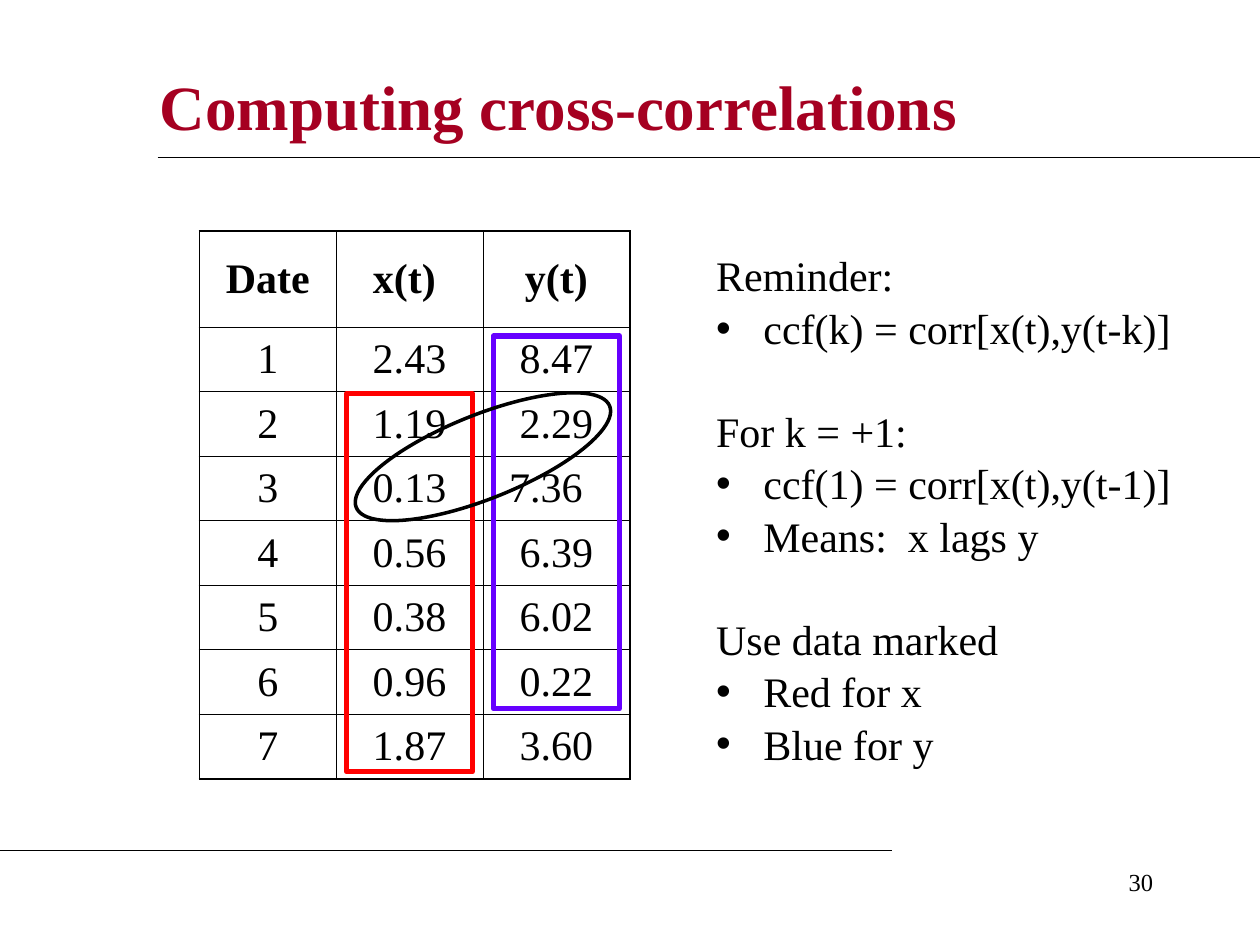
import pptx
import pptx.util
import pptx.dml.color
import pptx.enum.shapes
import pptx.enum.text
import pptx.oxml.ns
from lxml import etree

RGB = pptx.dml.color.RGBColor
Pt = pptx.util.Pt
SHAPE = pptx.enum.shapes.MSO_SHAPE
ALIGN = pptx.enum.text.PP_ALIGN
ANCHOR = pptx.enum.text.MSO_ANCHOR
qn = pptx.oxml.ns.qn

BLACK = RGB(0, 0, 0)
MAROON = RGB(0xA5, 0x00, 0x21)
RED = RGB(0xFF, 0, 0)
BLUE = RGB(0x66, 0, 0xFF)
FONT = "Times New Roman"

# The slide is a grid of 120 columns by 90 rows.
COLS, ROWS = 120, 90
UNIT = pptx.util.Inches(10) // COLS

HEAD = ("Date", "x(t)", "y(t)")
X = ("2.43", "1.19", "0.13", "0.56", "0.38", "0.96", "1.87")
Y = ("8.47", "2.29", "7.36", "6.39", "6.02", "0.22", "3.60")
# Extra right margin, in points, for cells set left of centre.
NUDGE = {"x(t)": 6, "7.36": 12}

NOTES = (
    ("Reminder:", ["ccf(k) = corr[x(t),y(t-k)]"]),
    ("For k = +1:", ["ccf(1) = corr[x(t),y(t-1)]", "Means:  x lags y"]),
    ("Use data marked", ["Red for x", "Blue for y"]),
)


def grid(*units):
    return [round(u * UNIT) for u in units]


def place(shape, box):
    shape.left, shape.top, shape.width, shape.height = grid(*box)


def write(para, text, size=24, color=BLACK, bold=False, align=ALIGN.LEFT, before=0):
    para.alignment = align
    para.space_before = Pt(before)
    run = para.add_run()
    run.text = text
    font = run.font
    font.name, font.size, font.bold = FONT, Pt(size), bold
    font.color.rgb = color


def set_bullet(para, mark):
    """Hang the paragraph, with a bullet if mark is given."""
    props = para._p.get_or_add_pPr()
    hang = Pt(27)
    props.set("marL", str(hang))
    props.set("indent", str(-hang))
    if mark:
        etree.SubElement(props, qn("a:buChar")).set("char", mark)
    else:
        etree.SubElement(props, qn("a:buNone"))


def add_title(slide, box):
    title = slide.shapes.title
    place(title, box)
    frame = title.text_frame
    frame.vertical_anchor = ANCHOR.MIDDLE
    write(frame.paragraphs[0], "Computing cross-correlations",
          size=36, color=MAROON, bold=True)


def add_notes(slide, box):
    body = slide.placeholders[1]
    place(body, box)
    frame = body.text_frame
    frame.auto_size = pptx.enum.text.MSO_AUTO_SIZE.NONE
    para = frame.paragraphs[0]
    for i, (head, items) in enumerate(NOTES):
        if i:
            para = frame.add_paragraph()
        set_bullet(para, None)
        write(para, head, before=30 if i else 0)
        for item in items:
            para = frame.add_paragraph()
            set_bullet(para, "•")
            write(para, item, before=1.2)


def add_rule(slide, left, right, row):
    line = slide.shapes.add_connector(
        pptx.enum.shapes.MSO_CONNECTOR.STRAIGHT, *grid(left, row, right, row))
    line.line.color.rgb = BLACK
    line.line.width = Pt(0.75)
    etree.SubElement(line._element.spPr, qn("a:effectLst"))


def set_edges(cell, outer):
    """Draw the four borders, thicker where outer is true."""
    props = cell._tc.get_or_add_tcPr()
    for i, (side, thick) in enumerate(zip("LRTB", outer)):
        edge = etree.Element(qn("a:ln" + side))
        edge.set("w", str(Pt(1.08 if thick else 0.45)))
        fill = etree.SubElement(edge, qn("a:solidFill"))
        etree.SubElement(fill, qn("a:srgbClr")).set("val", str(BLACK))
        props.insert(i, edge)


def add_data(slide, box):
    data = [HEAD]
    for day, pair in enumerate(zip(X, Y), 1):
        data.append((str(day), *pair))
    last, end = len(data) - 1, len(HEAD) - 1
    table = slide.shapes.add_table(last + 1, end + 1, *grid(*box)).table
    table.first_row = table.horz_banding = False
    for col, wide in zip(table.columns, (13, 14, 14)):
        col.width = grid(wide)[0]
    for r, line in enumerate(data):
        table.rows[r].height = grid(6.15 if r else 9.15)[0]
        for c, text in enumerate(line):
            cell = table.cell(r, c)
            cell.fill.background()
            cell.vertical_anchor = ANCHOR.MIDDLE
            cell.margin_right = Pt(7.2 + NUDGE.get(text, 0))
            set_edges(cell, (c == 0, c == end, r == 0, r == last))
            write(cell.text_frame.paragraphs[0], text,
                  bold=r == 0, align=ALIGN.CENTER)


def add_marks(slide, box):
    """Outline the paired x and y values over the table's box."""
    left, top = box[:2]
    marks = (
        (SHAPE.RECTANGLE, (14, 15.5, 12, 36), RED, 3, 0),
        (SHAPE.RECTANGLE, (28, 10, 12, 35.5), BLUE, 3, 0),
        (SHAPE.OVAL, (14, 17.5, 26, 8), BLACK, 2, -21.8),
    )
    for kind, (x, y, w, h), color, width, turn in marks:
        mark = slide.shapes.add_shape(kind, *grid(left + x, top + y, w, h))
        mark.shadow.inherit = False
        mark.fill.background()
        mark.line.color.rgb = color
        mark.line.width = Pt(width)
        mark.rotation = turn


def add_number(slide, box):
    frame = slide.shapes.add_textbox(*grid(*box)).text_frame
    frame.word_wrap = True
    write(frame.paragraphs[0], "30", size=14, align=ALIGN.RIGHT)


def main():
    deck = pptx.Presentation()
    deck.slide_width, deck.slide_height = grid(COLS, ROWS)
    slide = deck.slides.add_slide(deck.slide_layouts[1])
    table = (19, 22, 41, 52.2)
    add_title(slide, (14, 5, 97, 10))
    add_notes(slide, (67, 23.2, 48, 50))
    add_rule(slide, 15, COLS, 15)
    add_rule(slide, 0, 85, 81)
    add_data(slide, table)
    add_marks(slide, table)
    add_number(slide, (86, 82, 25, 6))
    deck.save("out.pptx")


if __name__ == "__main__":
    main()
